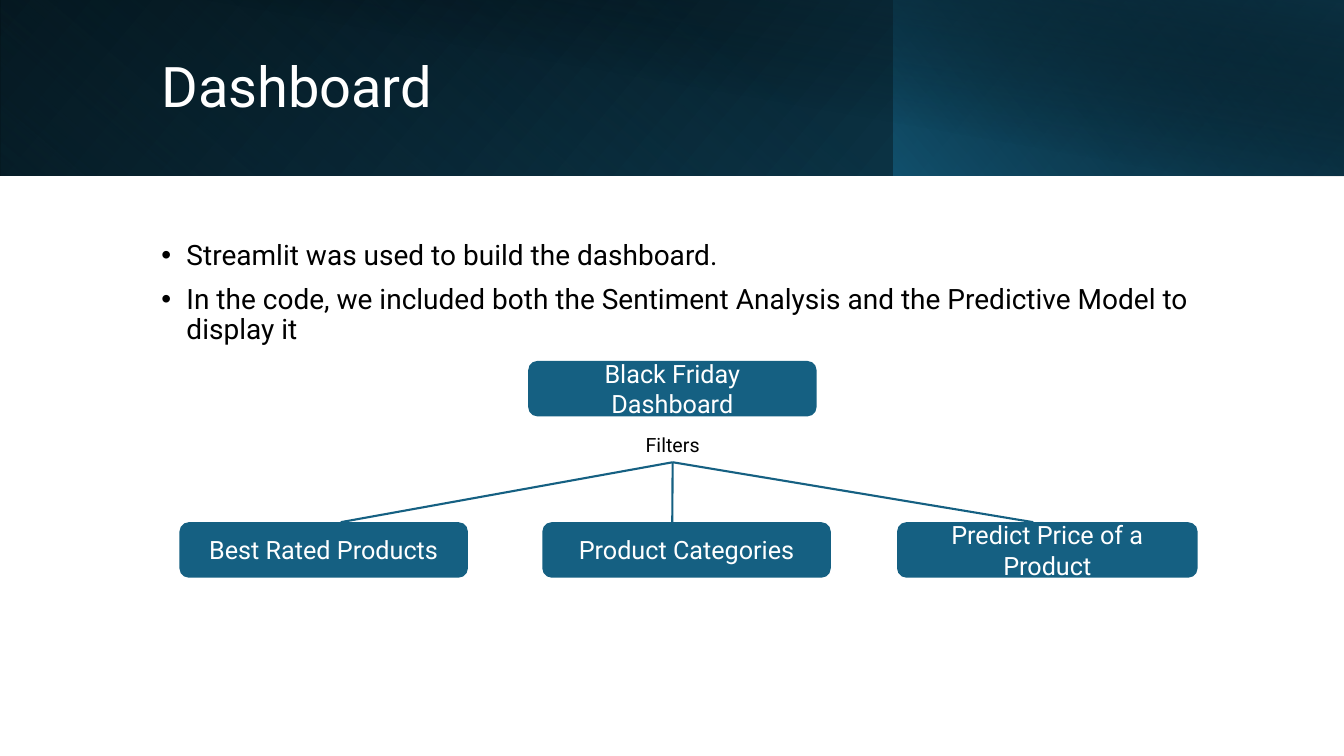
from lxml import etree
from pptx import Presentation
from pptx.dml.color import RGBColor
from pptx.enum.shapes import MSO_CONNECTOR, MSO_SHAPE
from pptx.enum.text import MSO_ANCHOR, MSO_AUTO_SIZE, PP_ALIGN
from pptx.oxml.ns import qn
from pptx.util import Pt

RECTANGLE = MSO_SHAPE.RECTANGLE
ROUNDED = MSO_SHAPE.ROUNDED_RECTANGLE
STRAIGHT = MSO_CONNECTOR.STRAIGHT
MIDDLE = MSO_ANCHOR.MIDDLE
TOP = MSO_ANCHOR.TOP
LEFT = PP_ALIGN.LEFT
CENTER = PP_ALIGN.CENTER
FIXED = MSO_AUTO_SIZE.NONE
GROW = MSO_AUTO_SIZE.SHAPE_TO_FIT_TEXT
BOTTOM_SIDE = 2


def color(value):
    return RGBColor.from_string(value)


class DashboardSlide:
    font = "Roboto"
    white = "FFFFFF"
    black = "000000"
    accent = "156082"

    def __init__(self, slide):
        self.slide = slide
        self.shapes = slide.shapes

    def set_text(self, shape, lines, size, ink, align, anchor=MIDDLE, fit=FIXED):
        frame = shape.text_frame
        frame.text = "\n".join(lines)
        frame.word_wrap = True
        frame.auto_size = fit
        frame.vertical_anchor = anchor
        for paragraph in frame.paragraphs:
            paragraph.alignment = align
            for run in paragraph.runs:
                run.font.name = self.font
                run.font.size = Pt(size)
                run.font.color.rgb = color(ink)
        return frame

    def band(self, left, width, height, angle, stops, flip=True, rotation=0):
        band = self.shapes.add_shape(RECTANGLE, Pt(left), 0, Pt(width), Pt(height))
        band.shadow.inherit = False
        band.line.fill.background()
        band.rotation = rotation
        properties = band.element.spPr
        if flip:
            properties.find(qn("a:xfrm")).set("flipH", "1")
        gradient = etree.Element(qn("a:gradFill"), rotWithShape="1")
        stop_list = etree.SubElement(gradient, qn("a:gsLst"))
        for position, value, alpha in stops:
            stop = etree.SubElement(stop_list, qn("a:gs"), pos=str(position * 1000))
            tint = etree.SubElement(stop, qn("a:srgbClr"), val=value)
            etree.SubElement(tint, qn("a:alpha"), val=str(alpha * 1000))
        etree.SubElement(gradient, qn("a:lin"), ang=str(angle * 60000), scaled="0")
        properties.find(qn("a:prstGeom")).addnext(gradient)

    def place(self, placeholder, left, top, width, height):
        placeholder.left, placeholder.top = Pt(left), Pt(top)
        placeholder.width, placeholder.height = Pt(width), Pt(height)
        tree = placeholder.element.getparent()
        tree.append(placeholder.element)

    def title(self, text, *frame):
        heading = self.shapes.title
        self.place(heading, *frame)
        self.set_text(heading, [text], 40, self.white, LEFT).paragraphs[0].line_spacing = 0.9

    def bullets(self, lines, *frame):
        body = self.slide.placeholders[1]
        self.place(body, *frame)
        for paragraph in self.set_text(body, lines, 20, self.black, LEFT).paragraphs:
            paragraph.line_spacing = 0.9
            paragraph.space_before = Pt(10)
            properties = paragraph._p.get_or_add_pPr()
            properties.set("marL", str(Pt(18)))
            properties.set("indent", str(Pt(-18)))
            etree.SubElement(properties, qn("a:buFont"), typeface="Arial")
            etree.SubElement(properties, qn("a:buChar"), char="•")

    def box(self, text, left, top, width=206):
        box = self.shapes.add_shape(ROUNDED, Pt(left), Pt(top), Pt(width), Pt(39.6))
        box.shadow.inherit = False
        box.fill.solid()
        box.fill.fore_color.rgb = color(self.accent)
        box.line.fill.background()
        self.set_text(box, [text], 18, self.white, CENTER)

    def label(self, text, left, top, width, height):
        label = self.shapes.add_textbox(Pt(left), Pt(top), Pt(width), Pt(height))
        self.set_text(label, [text], 14, self.black, CENTER, TOP, GROW)
        return label

    def branch(self, source, x, y):
        branch = self.shapes.add_connector(STRAIGHT, 0, 0, Pt(x), Pt(y))
        branch.begin_connect(source, BOTTOM_SIDE)
        branch.line.color.rgb = color(self.accent)
        branch.line.width = Pt(1.5)
        etree.SubElement(branch.element.spPr, qn("a:effectLst"))


def main():
    deck = Presentation()
    deck.slide_width, deck.slide_height = Pt(960), Pt(540)
    page = DashboardSlide(deck.slides.add_slide(deck.slide_layouts[1]))

    page.band(0, 960, 125.3, 140, [(0, "000000", 100), (100, "104862", 100)])
    page.band(0, 639, 125.3, 230, [(20, "156082", 0), (100, "0B3041", 55)], rotation=180)
    page.band(638.6, 321.4, 125.3, 220, [(0, "156082", 66), (100, "000000", 30)])
    page.band(36, 924, 126, 280, [(50, "000000", 0), (99, "0B3041", 52)], flip=False)

    page.title("Dashboard", 108, 23, 779, 81.4)
    page.bullets(
        [
            "Streamlit was used to build the dashboard.",
            "In the code, we included both the Sentiment Analysis and the Predictive Model to display it",
        ],
        108, 160.6, 765.4, 97.9,
    )

    page.box("Black Friday Dashboard", 377.3, 257.8)
    filters_top = 373
    page.box("Best Rated Products", 128.2, filters_top)
    page.box("Product Categories", 387.4, filters_top)
    page.box("Predict Price of a Product", 640.8, filters_top, 214.6)

    filters = page.label("Filters", 452, 306, 57, 24.2)
    for branch_end in (480.2, 738, 243.4):
        page.branch(filters, branch_end, filters_top)

    deck.save("out.pptx")


if __name__ == "__main__":
    main()
